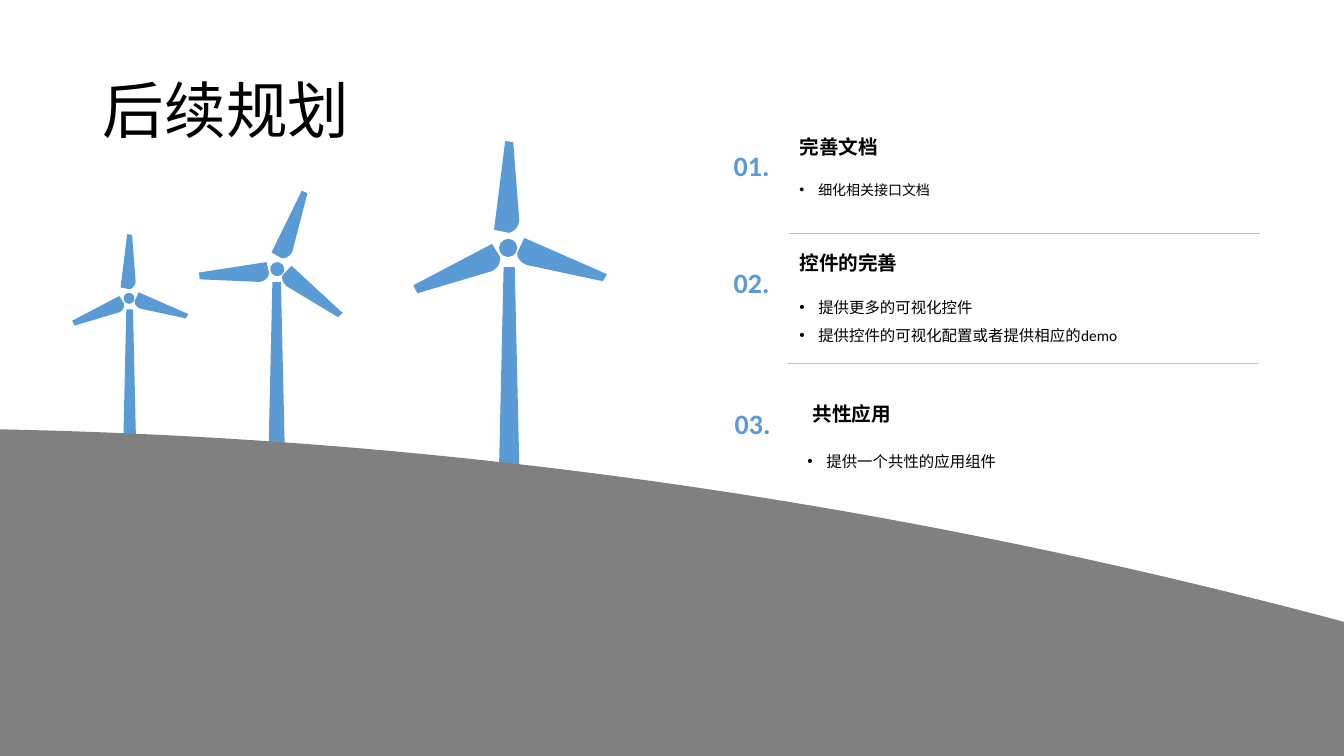
from dataclasses import dataclass
from math import cos, radians, sin

from lxml.etree import SubElement
from pptx import Presentation
from pptx.dml.color import RGBColor
from pptx.enum.shapes import MSO_CONNECTOR, MSO_SHAPE
from pptx.enum.text import MSO_ANCHOR, PP_ALIGN
from pptx.oxml.ns import qn
from pptx.shapes.autoshape import Shape
from pptx.slide import Slide
from pptx.text.text import TextFrame
from pptx.util import Inches, Pt

Point = tuple[float, float]

COLORS = {"blue": "5B9BD5", "hill": "808080", "rule": "BFBFBF", "text": "000000"}
FONT = "Calibri"
SLIDE_WIDTH, SLIDE_HEIGHT = 13.33, 7.5
HUB_SIZE = 0.18
ROTOR_TILT = 28.3
MAST_WIDTH, MAST_HEIGHT = 0.22, 2.4


@dataclass(frozen=True)
class Blade:
    root: Point
    tip: tuple[Point, Point]
    shoulder: Point
    bulge: Point
    heel: Point


@dataclass(frozen=True)
class Turbine:
    hub: Point
    mast_at: Point
    scale: float
    rotation: float


@dataclass(frozen=True)
class Section:
    number: str
    heading: str
    bullets: tuple[str, ...]
    number_at: Point
    heading_at: Point
    bullets_at: Point
    bullets_width: float
    bullets_height: float
    bullet_size: float


BLADES = (
    Blade((-0.16, -0.04), ((-0.94, 0.37), (-0.9, 0.45)), (-0.16, 0.23), (-0.07, 0.19), (-0.08, 0.09)),
    Blade((-0.14, -0.18), ((-0.03, -1.06), (0.05, -1.05)), (0.11, -0.28), (0.11, -0.18), (0.01, -0.15)),
    Blade((0.16, -0.1), ((0.98, 0.26), (0.94, 0.33)), (0.19, 0.17), (0.09, 0.14), (0.09, 0.05)),
)
TURBINES = (
    Turbine((5.04, 2.46), (4.94, 2.65), 1, 331.7),
    Turbine((2.75, 2.67), (2.66, 2.8), 0.77, 350.7),
    Turbine((1.28, 2.96), (1.22, 3.07), 0.6, 331.7),
)
SECTIONS = (
    Section("01.", "完善文档", ("细化相关接口文档",),
            (7.15, 1.38), (7.83, 1.24), (7.83, 1.67), 4.71, 0.6, 10),
    Section("02.", "控件的完善", ("提供更多的可视化控件", "提供控件的可视化配置或者提供相应的demo"),
            (7.15, 2.54), (7.83, 2.39), (7.83, 2.82), 3.78, 0.75, 11),
    Section("03.", "共性应用", ("提供一个共性的应用组件",),
            (7.16, 3.93), (7.96, 3.89), (7.91, 4.34), 3.78, 0.75, 11),
)
RULE_STARTS = ((7.83, 2.31), (7.82, 3.6))
RULE_LENGTH = 4.67
BULLET_INDENT = Pt(13.5)


def color(name: str) -> RGBColor:
    return RGBColor.from_string(COLORS[name])


def rotate(point: Point, degrees: float) -> Point:
    x, y = point
    cosine, sine = cos(radians(degrees)), sin(radians(degrees))
    return x * cosine - y * sine, x * sine + y * cosine


def paint(shape: Shape, color_name: str) -> None:
    shape.shadow.inherit = False
    shape.fill.solid()
    shape.fill.fore_color.rgb = color(color_name)
    shape.line.fill.background()


def add_outline(slide: Slide, points: list[Point], curve_start: int, color_name: str) -> Shape:
    vertices = [(Inches(x), Inches(y)) for x, y in points]
    builder = slide.shapes.build_freeform(*vertices[0])
    builder.add_line_segments(vertices[1:], close=True)
    shape = builder.convert_to_shape()
    segments = list(shape._element.iter(qn("a:lnTo")))[curve_start:curve_start + 3]
    curve = segments[0].makeelement(qn("a:cubicBezTo"))
    segments[0].addprevious(curve)
    for segment in segments:
        curve.append(segment[0])
        segment.getparent().remove(segment)
    paint(shape, color_name)
    return shape


def add_preset(slide: Slide, kind: MSO_SHAPE, left: float, top: float, width: float, height: float) -> Shape:
    shape = slide.shapes.add_shape(kind, Inches(left), Inches(top), Inches(width), Inches(height))
    paint(shape, "blue")
    return shape


def add_blade(slide: Slide, blade: Blade, turbine: Turbine) -> None:
    hub_x, hub_y = turbine.hub
    outline = (blade.root, *blade.tip, blade.shoulder, blade.shoulder, blade.bulge, blade.heel)
    points = [(hub_x + x * turbine.scale, hub_y + y * turbine.scale)
              for x, y in (rotate(point, ROTOR_TILT) for point in outline)]
    shape = add_outline(slide, points, 3, "blue")
    center = (shape.left + shape.width / 2 - Inches(hub_x), shape.top + shape.height / 2 - Inches(hub_y))
    turned_x, turned_y = rotate(center, turbine.rotation)
    shape.left = round(Inches(hub_x) + turned_x - shape.width / 2)
    shape.top = round(Inches(hub_y) + turned_y - shape.height / 2)
    shape.rotation = turbine.rotation


def add_turbine(slide: Slide, turbine: Turbine) -> None:
    hub_x, hub_y = turbine.hub
    scale = turbine.scale
    hub_size = HUB_SIZE * scale
    hub = add_preset(slide, MSO_SHAPE.OVAL, hub_x - hub_size / 2, hub_y - hub_size / 2, hub_size, hub_size)
    hub.rotation = turbine.rotation
    for blade in BLADES:
        add_blade(slide, blade, turbine)
    add_preset(slide, MSO_SHAPE.TRAPEZOID, *turbine.mast_at, MAST_WIDTH * scale, MAST_HEIGHT * scale)


def format_text(frame: TextFrame, size: float, color_name: str = "text", bold: bool = False) -> None:
    for paragraph in frame.paragraphs:
        for run in paragraph.runs:
            run.font.name = FONT
            run.font.size = Pt(size)
            run.font.bold = bold
            run.font.color.rgb = color(color_name)


def add_text(slide: Slide, text: str, position: Point, width: float, height: float,
             anchor: MSO_ANCHOR = MSO_ANCHOR.MIDDLE) -> TextFrame:
    left, top = position
    frame = slide.shapes.add_textbox(Inches(left), Inches(top), Inches(width), Inches(height)).text_frame
    frame.word_wrap = True
    frame.vertical_anchor = anchor
    frame.text = text
    return frame


def add_section(slide: Slide, section: Section) -> None:
    heading = add_text(slide, section.heading, section.heading_at, 3.78, 0.43)
    format_text(heading, 14, bold=True)
    body = add_text(slide, "\n".join(section.bullets), section.bullets_at,
                    section.bullets_width, section.bullets_height, MSO_ANCHOR.TOP)
    format_text(body, section.bullet_size)
    for paragraph in body.paragraphs:
        paragraph.line_spacing = 1.5
        properties = paragraph._p.get_or_add_pPr()
        properties.set("marL", str(BULLET_INDENT))
        properties.set("indent", str(-BULLET_INDENT))
        SubElement(properties, qn("a:buFont")).set("typeface", "Arial")
        SubElement(properties, qn("a:buChar")).set("char", "•")
    number = add_text(slide, section.number, section.number_at, 0.61, 0.53)
    number.paragraphs[0].alignment = PP_ALIGN.CENTER
    format_text(number, 20, "blue", True)


def add_rule(slide: Slide, start: Point) -> None:
    left, top = start
    rule = slide.shapes.add_connector(MSO_CONNECTOR.STRAIGHT, Inches(left), Inches(top),
                                      Inches(left + RULE_LENGTH), Inches(top))
    rule.line.color.rgb = color("rule")
    rule.line.width = Pt(0.25)
    SubElement(rule._element.spPr, qn("a:effectLst"))


def add_title(slide: Slide, text: str) -> None:
    title = slide.shapes.title
    title.left, title.top, title.width, title.height = map(Inches, (0.92, 0.4, 11.5, 1.45))
    frame = title.text_frame
    frame.text = text
    frame.vertical_anchor = MSO_ANCHOR.MIDDLE
    frame.paragraphs[0].alignment = PP_ALIGN.LEFT
    frame.paragraphs[0].line_spacing = 0.9
    format_text(frame, 44)


def main() -> None:
    presentation = Presentation()
    presentation.slide_width, presentation.slide_height = Inches(SLIDE_WIDTH), Inches(SLIDE_HEIGHT)
    slide = presentation.slides.add_slide(presentation.slide_layouts[5])
    add_title(slide, "后续规划")
    for turbine in TURBINES:
        add_turbine(slide, turbine)
    hill = [(SLIDE_WIDTH, 6.17), (SLIDE_WIDTH, SLIDE_HEIGHT), (0, SLIDE_HEIGHT), (0, 4.26),
            (4.49, 4.35), (8.93, 4.99), (SLIDE_WIDTH, 6.17)]
    add_outline(slide, hill, 3, "hill")
    for section in SECTIONS:
        add_section(slide, section)
    for start in RULE_STARTS:
        add_rule(slide, start)
    presentation.save("out.pptx")


if __name__ == "__main__":
    main()
